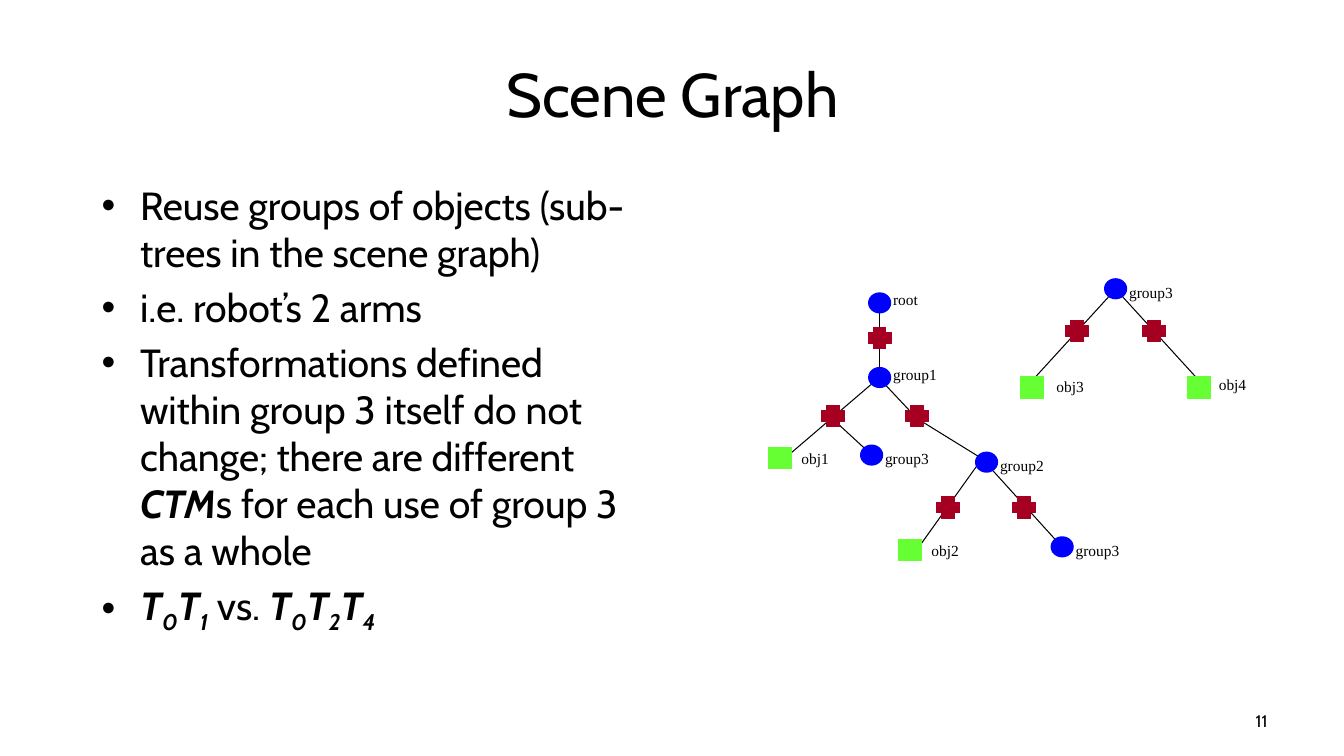
from lxml.etree import SubElement
from pptx import Presentation
from pptx.dml.color import RGBColor
from pptx.enum.shapes import MSO_CONNECTOR, MSO_SHAPE
from pptx.enum.text import MSO_ANCHOR, MSO_AUTO_SIZE, PP_ALIGN
from pptx.oxml.ns import qn
from pptx.util import Pt

PX = 9144  # EMU per px, 100 px to the inch
BLACK = RGBColor(0x00, 0x00, 0x00)
BLUE = RGBColor(0x00, 0x00, 0xFF)
CRIMSON = RGBColor(0xA5, 0x00, 0x21)
GREEN = RGBColor(0x66, 0xFF, 0x33)
SANS, SERIF = "Cabin", "Times New Roman"
NODE_SIZE = (23, 21)
LABEL_SIZE = (76, 37)

# Run styles: plain, strong (bold italic) and subscript (strong, lowered)
PLAIN, STRONG, SUB = range(3)
BULLETS = [
    [("Reuse groups of objects (sub-trees in the scene graph)", PLAIN)],
    [("i.e. robot’s 2 arms", PLAIN)],
    [("Transformations defined within group 3 itself do not change; "
      "there are different ", PLAIN),
     ("CTM", STRONG),
     ("s for each use of group 3 as a whole", PLAIN)],
    [("T", STRONG), ("0", SUB), ("T", STRONG), ("1", SUB), (" vs. ", PLAIN),
     ("T", STRONG), ("0", SUB), ("T", STRONG), ("2", SUB),
     ("T", STRONG), ("4", SUB)],
]

# Trees, in px from the corner of their box. Edges: x1, y1, x2, y2.
# Groups and objects: x, y, label, label offset x, label offset y.
MAIN_TREE = {
    "edges": [(212, 172, 152, 256), (212, 172, 288, 256),
              (144, 130, 212, 172), (61, 130, 99, 165),
              (106, 88, 152, 137), (106, 95, 16, 172), (110, 21, 110, 91)],
    "groups": [(99, 7, "root", 15, -7), (99, 81, "group1", 15, -7),
               (91, 158, "group3", 15, 0), (205, 165, "group2", 15, 0),
               (280, 249, "group3", 15, 0)],
    "transforms": [(99, 42), (53, 119), (136, 119), (167, 210), (242, 210)],
    "objects": [(0, 161, "obj1", 23, -3), (129, 252, "obj2", 23, -3)],
}
GROUP3_TREE = {
    "edges": [(98, 7, 15, 98), (91, 7, 174, 98)],
    "groups": [(83, 0, "group3", 15, 0)],
    "transforms": [(45, 42), (121, 42)],
    "objects": [(0, 98, "obj3", 26, -5), (166, 98, "obj4", 21, -7)],
}


def emu(*lengths):
    return [length * PX for length in lengths]


def style_font(font, name, size):
    font.name = name
    font.size = Pt(size)
    font.color.rgb = BLACK


def add_title(slide, box):
    title = slide.shapes.title
    title.left, title.top, title.width, title.height = emu(*box)
    title.text_frame.text = "Scene Graph"
    title.text_frame.vertical_anchor = MSO_ANCHOR.MIDDLE
    heading = title.text_frame.paragraphs[0]
    heading.alignment = PP_ALIGN.CENTER
    style_font(heading.runs[0].font, SANS, 44)


def add_bullets(slide, box):
    frame = slide.shapes.add_textbox(*emu(*box)).text_frame
    frame.word_wrap = True
    for index, pieces in enumerate(BULLETS):
        bullet = frame.add_paragraph() if index else frame.paragraphs[0]
        properties = bullet._p.get_or_add_pPr()
        properties.set("marL", str(62 * PX))
        properties.set("indent", str(-38 * PX))
        SubElement(properties, qn("a:buFont"), typeface="Arial")
        SubElement(properties, qn("a:buChar"), char="•")
        bullet.space_before = Pt(5.6 if index else 0)
        for text, style in pieces:
            run = bullet.add_run()
            run.text = text
            style_font(run.font, SANS, 28)
            run.font.bold = run.font.italic = style != PLAIN
            if style == SUB:
                run._r.get_or_add_rPr().set("baseline", "-25000")


def add_page_number(slide, box):
    frame = slide.shapes.add_textbox(*emu(*box)).text_frame
    frame.word_wrap = True
    frame.vertical_anchor = MSO_ANCHOR.MIDDLE
    frame.text = "11"
    number = frame.paragraphs[0]
    number.alignment = PP_ALIGN.RIGHT
    style_font(number.runs[0].font, SANS, 12)


def add_edge(tree, *ends):
    edge = tree.shapes.add_connector(MSO_CONNECTOR.STRAIGHT, *emu(*ends))
    edge.line.color.rgb = BLACK
    edge.line.width = Pt(0.75)
    SubElement(edge._element.spPr, qn("a:effectLst"))


def add_node(tree, outline, left, top, color):
    node = tree.shapes.add_shape(outline, *emu(left, top, *NODE_SIZE))
    node.shadow.inherit = False
    node.fill.solid()
    node.fill.fore_color.rgb = color
    if outline == MSO_SHAPE.OVAL:
        node.line.fill.background()
    else:
        node.line.color.rgb = color
        node.line.width = Pt(0.75)


def add_label(tree, left, top, text):
    frame = tree.shapes.add_textbox(*emu(left, top, *LABEL_SIZE)).text_frame
    frame.word_wrap = True
    frame.auto_size = MSO_AUTO_SIZE.SHAPE_TO_FIT_TEXT
    frame.text = text
    style_font(frame.paragraphs[0].runs[0].font, SERIF, 11)


def add_tree(slide, left, top, parts):
    tree = slide.shapes.add_group_shape()
    for x1, y1, x2, y2 in parts["edges"]:
        add_edge(tree, left + x1, top + y1, left + x2, top + y2)
    for kind, outline, color in (("groups", MSO_SHAPE.OVAL, BLUE),
                                 ("objects", MSO_SHAPE.RECTANGLE, GREEN)):
        for x, y, text, dx, dy in parts[kind]:
            add_node(tree, outline, left + x, top + y, color)
            add_label(tree, left + x + dx, top + y + dy, text)
    for x, y in parts["transforms"]:
        add_node(tree, MSO_SHAPE.CROSS, left + x, top + y, CRIMSON)


def main():
    deck = Presentation()
    deck.slide_width, deck.slide_height = emu(1333, 750)
    slide = deck.slides.add_slide(deck.slide_layouts.get_by_name("Title Only"))
    add_title(slide, (67, 30, 1200, 125))
    add_bullets(slide, (67, 175, 589, 495))
    add_page_number(slide, (956, 695, 311, 40))
    add_tree(slide, 1012, 276, GROUP3_TREE)
    add_tree(slide, 762, 283, MAIN_TREE)
    deck.save("out.pptx")


if __name__ == "__main__":
    main()
